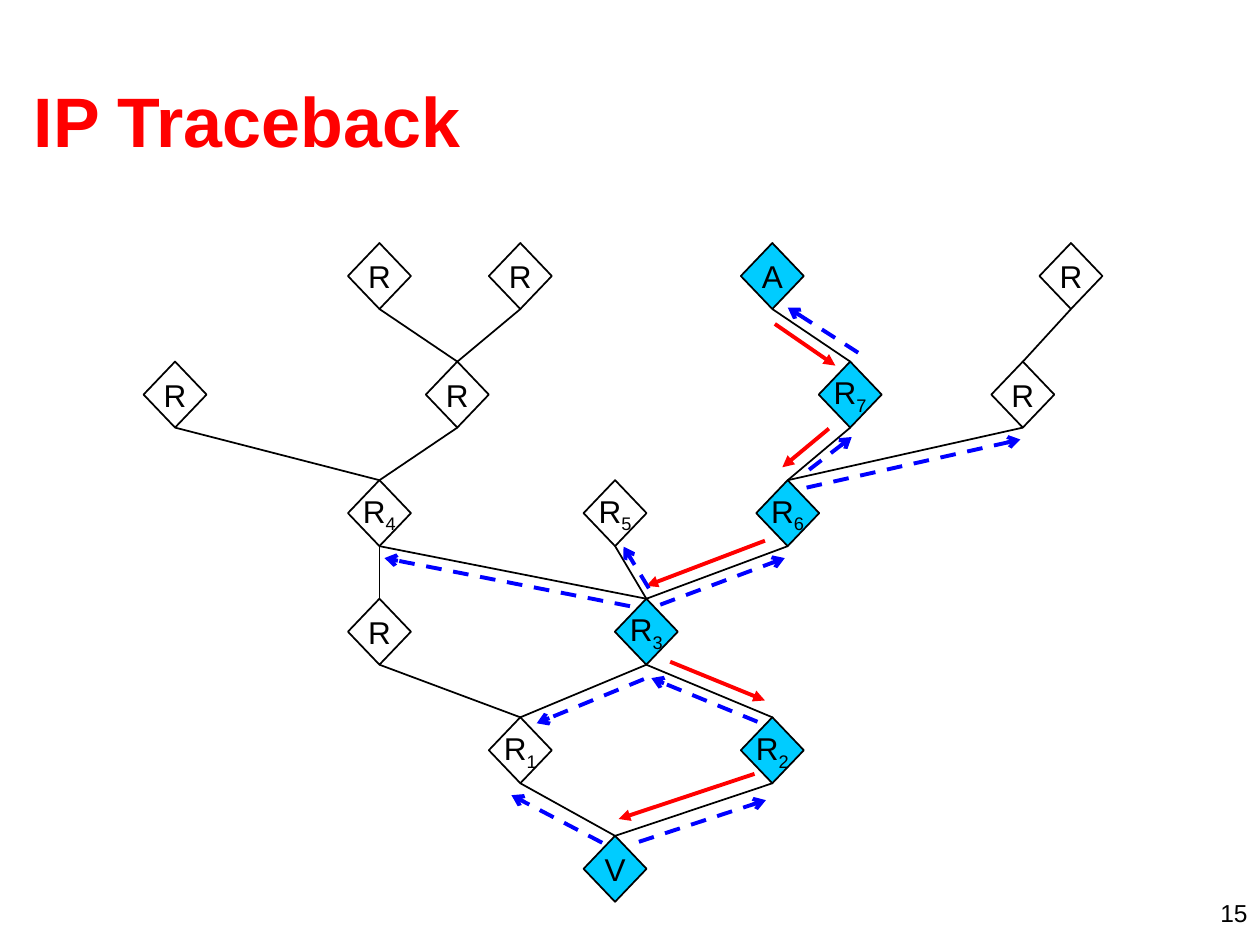
import pptx
import pptx.dml.color
import pptx.enum.dml
import pptx.enum.shapes
import pptx.enum.text
import pptx.oxml
import pptx.oxml.ns
import pptx.util
from lxml import etree
from pptx.util import Cm

BLACK, RED, BLUE, CYAN = "000000", "FF0000", "0000FF", "00CCFF"
DIAMOND_WIDTH, DIAMOND_HEIGHT = 1.27, 1.33
FIRST_ROW_TOP, ROW_PITCH = 4.9, 2.39

# key: (centre x in cm, row, letter, subscript, on the attack path)
ROUTERS = {
    "V": (12.4, 5, "V", "", True),
    "left": (7.65, 3, "R", "", False),
    "R1": (10.49, 4, "R", "1", False),
    "R2": (15.57, 4, "R", "2", True),
    "R3": (13.03, 3, "R", "3", True),
    "inner": (9.22, 1, "R", "", False),
    "outer": (3.53, 1, "R", "", False),
    "inner top right": (10.49, 0, "R", "", False),
    "inner top left": (7.65, 0, "R", "", False),
    "R4": (7.65, 2, "R", "4", False),
    "A": (15.57, 0, "A", "", True),
    "right top": (21.59, 0, "R", "", False),
    "right": (20.62, 1, "R", "", False),
    "R7": (17.14, 1, "R", "7", True),
    "R6": (15.88, 2, "R", "6", True),
    "R5": (12.4, 2, "R", "5", False),
}

# lower router: the upper routers it is linked to
LINKS = {
    "V": ["R1", "R2"],
    "R1": ["left", "R3"],
    "R2": ["R3"],
    "left": ["R4"],
    "R3": ["R4", "R6", "R5"],
    "R4": ["outer", "inner"],
    "R6": ["R7", "right"],
    "R7": ["A"],
    "right": ["right top"],
    "inner": ["inner top left", "inner top right"],
}

# (from x, from y, to x, to y) in cm
ATTACK_ARROWS = [
    (15.62, 6.53, 16.84, 7.37),
    (16.71, 8.64, 15.77, 9.42),
    (15.42, 10.9, 13.03, 11.81),
    (13.51, 13.34, 15.42, 14.12),
    (15.21, 15.6, 12.47, 16.51),
]
R2_TRACE_ARROWS = [(15.27, 14.55, 13.13, 13.67)]
VICTIM_TRACE_ARROWS = [
    (12.88, 16.97, 15.44, 16.13),
    (12.14, 16.99, 10.31, 16.03),
]
UPPER_TRACE_ARROWS = [
    (12.7, 12.22, 7.75, 11.25),
    (13.31, 12.19, 15.82, 11.25),
    (13.08, 11.86, 12.57, 11.02),
    (16.26, 9.83, 20.57, 8.86),
    (16.31, 9.47, 17.17, 8.81),
    (17.3, 7.11, 15.88, 6.2),
    (12.98, 13.69, 10.82, 14.58),
]


def color(value):
    return pptx.dml.color.RGBColor.from_string(value)


def add_run(paragraph, text, size, font_color=BLACK, bold=False):
    run = paragraph.add_run()
    run.text = text
    run.font.name = "Arial"
    run.font.size = pptx.util.Pt(size)
    run.font.bold = bold
    run.font.color.rgb = color(font_color)
    return run


def add_text(slide, box, text, size, font_color, bold, align, anchor):
    shape = slide.shapes.add_textbox(*[Cm(length) for length in box])
    frame = shape.text_frame
    frame.word_wrap = True
    frame.vertical_anchor = anchor
    paragraph = frame.paragraphs[0]
    paragraph.alignment = align
    add_run(paragraph, text, size, font_color, bold)


def add_router(slide, center, row, letter, subscript, on_path):
    shape = slide.shapes.add_shape(
        pptx.enum.shapes.MSO_SHAPE.DIAMOND,
        Cm(center - DIAMOND_WIDTH / 2), Cm(FIRST_ROW_TOP + row * ROW_PITCH),
        Cm(DIAMOND_WIDTH), Cm(DIAMOND_HEIGHT))
    shape.shadow.inherit = False
    if on_path:
        shape.fill.solid()
        shape.fill.fore_color.rgb = color(CYAN)
    else:
        shape.fill.background()
    shape.line.color.rgb = color(BLACK)
    shape.line.width = pptx.util.Pt(1)
    frame = shape.text_frame
    frame.word_wrap = False
    frame.vertical_anchor = pptx.enum.text.MSO_ANCHOR.MIDDLE
    paragraph = frame.paragraphs[0]
    paragraph.alignment = pptx.enum.text.PP_ALIGN.CENTER
    add_run(paragraph, letter, 18)
    if subscript:
        run = add_run(paragraph, subscript, 18)
        run.font._element.set("baseline", "-25000")
    return shape


def add_line(shapes, ends, line_color, width):
    connector = shapes.add_connector(
        pptx.enum.shapes.MSO_CONNECTOR.STRAIGHT, *[Cm(end) for end in ends])
    connector.line.color.rgb = color(line_color)
    connector.line.width = pptx.util.Pt(width)
    etree.SubElement(connector._element.spPr, pptx.oxml.ns.qn("a:effectLst"))
    return connector


def add_link(slide, lower, upper):
    """Join the top of the lower router to the bottom of the upper one."""
    connector = add_line(slide.shapes, (0, 0, 1, 1), BLACK, 1)
    connector.begin_connect(lower, 0)
    connector.end_connect(upper, 2)


def add_arrows(shapes, arrows, line_color, head, dashed):
    for ends in arrows:
        line = add_line(shapes, ends, line_color, 2.25).line
        if dashed:
            line.dash_style = pptx.enum.dml.MSO_LINE.DASH
        etree.SubElement(line._get_or_add_ln(), pptx.oxml.ns.qn("a:tailEnd"), type=head)


def main():
    presentation = pptx.Presentation()
    presentation.slide_width, presentation.slide_height = Cm(25.4), Cm(19.05)
    slide = presentation.slides.add_slide(presentation.slide_layouts[6])
    align, anchor = pptx.enum.text.PP_ALIGN, pptx.enum.text.MSO_ANCHOR

    add_text(slide, (0.43, 0.81, 24.33, 3.18), "IP Traceback", 40, RED, True,
             align.LEFT, anchor.MIDDLE)
    routers = {key: add_router(slide, *router) for key, router in ROUTERS.items()}
    for lower, uppers in LINKS.items():
        for upper in uppers:
            add_link(slide, routers[lower], routers[upper])

    add_arrows(slide.shapes.add_group_shape().shapes, ATTACK_ARROWS, RED, "triangle", False)
    add_arrows(slide.shapes, R2_TRACE_ARROWS, BLUE, "arrow", True)
    for arrows in (VICTIM_TRACE_ARROWS, UPPER_TRACE_ARROWS):
        add_arrows(slide.shapes.add_group_shape().shapes, arrows, BLUE, "arrow", True)
    add_text(slide, (19.48, 17.98, 5.92, 0.64), "15", 14, BLACK, False,
             align.RIGHT, anchor.TOP)
    presentation.save("out.pptx")


if __name__ == "__main__":
    main()
